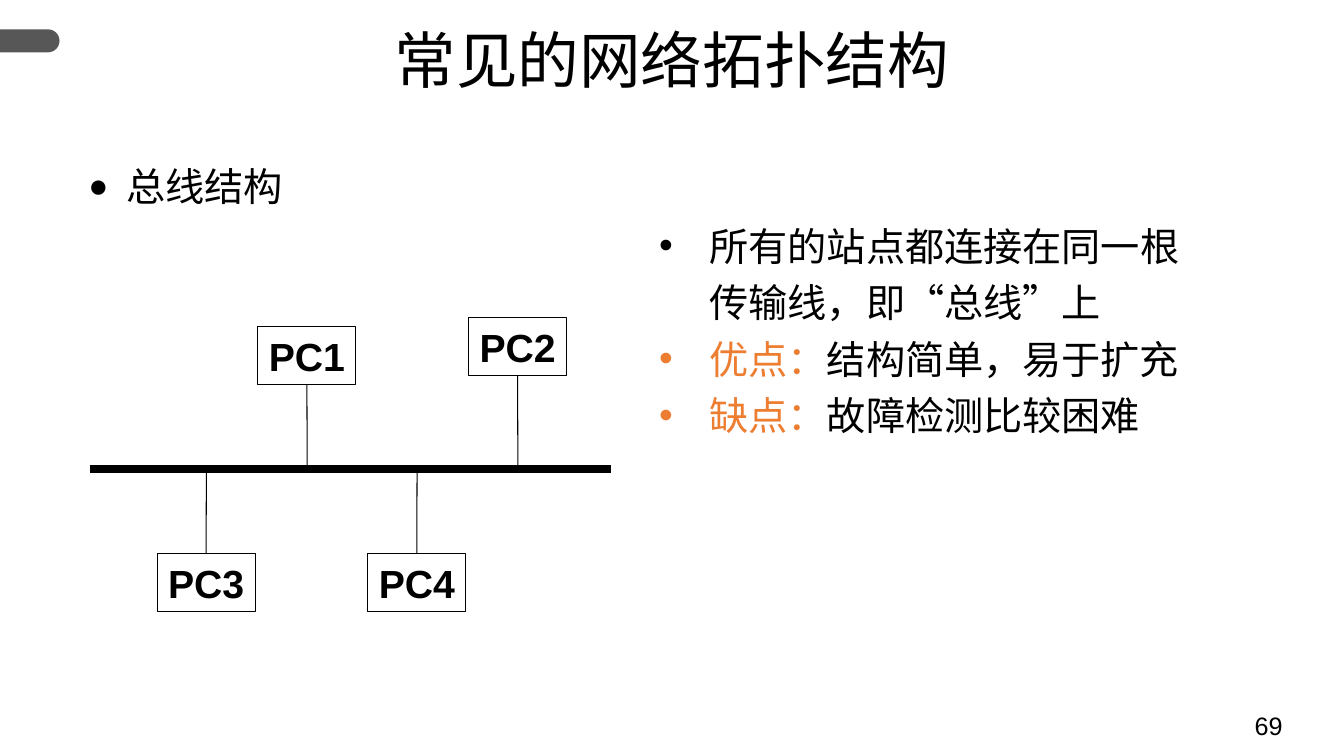
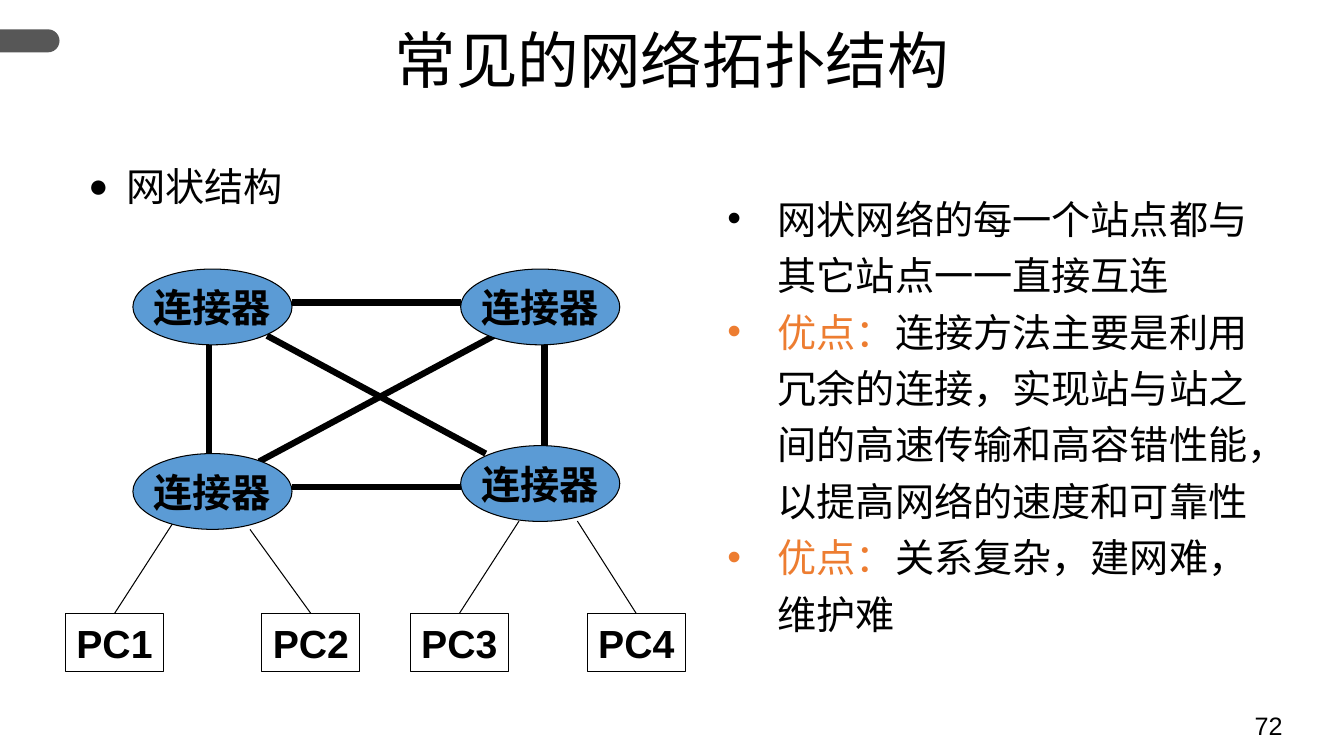
"""Build two slides on common network topologies: bus and mesh."""
from dataclasses import dataclass

from lxml.etree import SubElement
from pptx import Presentation
from pptx.dml.color import RGBColor
from pptx.enum.shapes import MSO_CONNECTOR, MSO_SHAPE
from pptx.enum.text import MSO_ANCHOR, PP_ALIGN
from pptx.oxml.ns import qn
from pptx.util import Cm, Pt


@dataclass(frozen=True)
class Theme:
    ink: RGBColor = RGBColor(0x00, 0x00, 0x00)
    paper: RGBColor = RGBColor(0xFF, 0xFF, 0xFF)
    accent: RGBColor = RGBColor(0xED, 0x7D, 0x31)
    hub: RGBColor = RGBColor(0x5B, 0x9B, 0xD5)
    tab: RGBColor = RGBColor(0x57, 0x57, 0x57)
    latin: str = "Arial"
    chinese: str = "Noto Sans CJK SC"
    title: Pt = Pt(44)
    body: Pt = Pt(28)
    number: Pt = Pt(18)
    thin: Pt = Pt(0.75)
    link: Pt = Pt(4.5)
    bus: Pt = Pt(6)


theme = Theme()


def write(paragraph, parts, spacing=1.0, bullet=None, indent=0, bullet_size=100, **font_format):
    if bullet:
        properties = paragraph._p.get_or_add_pPr()
        properties.set("marL", str(Cm(indent)))
        properties.set("indent", str(-Cm(indent)))
        SubElement(properties, qn("a:buSzPct"), val=str(bullet_size * 1000))
        SubElement(properties, qn("a:buFont"), typeface=theme.latin)
        SubElement(properties, qn("a:buChar"), char=bullet)
    paragraph.line_spacing = spacing
    for text, color in parts:
        run = paragraph.add_run()
        run.text = text
        run.font.color.rgb = color
        for attribute, value in font_format.items():
            setattr(run.font, attribute, value)


def draw_line(slide, start, end, width):
    line = slide.shapes.add_connector(MSO_CONNECTOR.STRAIGHT, *map(Cm, start + end))
    line.line.color.rgb = theme.ink
    line.line.width = width
    SubElement(line._element.spPr, qn("a:effectLst"))
    return line


title_format = {"name": theme.latin, "size": theme.title}
number_format = {"name": theme.latin, "size": theme.number}
body_format = {"name": theme.chinese, "size": theme.body}
node_format = {"name": theme.latin, "size": theme.body, "bold": True}
node_frame = {
    "margin_left": 0, "margin_right": 0, "margin_top": 0, "margin_bottom": 0,
    "word_wrap": False, "vertical_anchor": MSO_ANCHOR.MIDDLE,
}
pc_size = (2.47, 1.47)
hub_size = (4.01, 1.91)
bus_y = 11.82
top, bottom = 0, 2

topologies = [
    {
        "number": "69",
        "heading": "总线结构",
        "notes_at": (16.36, 5.23, 14.4, 5.99),
        "notes": [
            ("", "所有的站点都连接在同一根传输线，即“总线”上"),
            ("优点：", "结构简单，易于扩充"),
            ("缺点：", "故障检测比较困难"),
        ],
        "pcs": [
            ("PC1", 6.5, 8.23, bottom, (7.74, bus_y)),
            ("PC2", 11.81, 8, bottom, (13.05, bus_y)),
            ("PC3", 3.96, 13.94, top, (5.2, bus_y)),
            ("PC4", 9.27, 13.94, top, (10.51, bus_y)),
        ],
        "links": [((2.26, bus_y), (15.4, bus_y))],
        "link_width": theme.bus,
        "hubs": [],
    },
    {
        "number": "72",
        "heading": "网状结构",
        "notes_at": (18.08, 4.55, 14.4, 11.73),
        "notes": [
            ("", "网状网络的每一个站点都与其它站点一一直接互连"),
            ("优点：", "连接方法主要是利用冗余的连接，实现站与站之间的高速传输和高容错性能，以提高网络的速度和可靠性"),
            ("优点：", "关系复杂，建网难，维护难"),
        ],
        "pcs": [
            ("PC1", 1.65, 15.46, top, (4.39, 13.13)),
            ("PC2", 6.6, 15.46, top, (6.3, 13.34)),
            ("PC3", 10.34, 15.46, top, (13.08, 13.13)),
            ("PC4", 14.8, 15.46, top, (14.55, 13.13)),
        ],
        "links": [
            ((7.37, 7.62), (11.61, 7.62)),
            ((7.37, 12.27), (11.61, 12.27)),
            ((5.26, 8.69), (5.26, 11.43)),
            ((13.72, 8.69), (13.72, 11.23)),
            ((6.73, 8.46), (12.24, 11.43)),
            ((6.53, 11.63), (12.45, 8.46)),
        ],
        "link_width": theme.link,
        "hubs": [(3.35, 6.78), (11.61, 6.78), (3.35, 11.43), (11.61, 11.23)],
    },
]

deck = Presentation()
deck.slide_width, deck.slide_height = Cm(33.87), Cm(19.05)

for topology in topologies:
    slide = deck.slides.add_slide(deck.slide_layouts[5])
    shapes = slide.shapes

    tab = shapes.add_shape(MSO_SHAPE.ROUND_2_SAME_RECTANGLE, Cm(0.46), Cm(0.28), Cm(0.58), Cm(1.5))
    tab.rotation = 90
    tab.adjustments[0] = 0.5
    tab.shadow.inherit = False
    tab.fill.solid()
    tab.fill.fore_color.rgb = theme.tab
    tab.line.fill.background()

    title = shapes.title
    title_place = {"left": Cm(0), "top": Cm(0.64), "width": Cm(33.87), "height": Cm(3.18)}
    for attribute, value in title_place.items():
        setattr(title, attribute, value)
    title.text_frame.vertical_anchor = MSO_ANCHOR.TOP
    title.text_frame.paragraphs[0].alignment = PP_ALIGN.CENTER
    write(title.text_frame.paragraphs[0], [("常见的网络拓扑结构", theme.ink)], 0.9, **title_format)

    number = shapes.add_textbox(Cm(31.37), Cm(17.78), Cm(2.5), Cm(1.27)).text_frame
    number.word_wrap = True
    write(number.paragraphs[0], [(topology["number"], theme.ink)], **number_format)

    heading = shapes.add_textbox(Cm(1.98), Cm(3.61), Cm(14), Cm(2)).text_frame
    heading.word_wrap = True
    write(heading.paragraphs[0], [(topology["heading"], theme.ink)], 1.3, "●", 0.95, 85, **body_format)

    notes = shapes.add_textbox(*map(Cm, topology["notes_at"])).text_frame
    notes.word_wrap = True
    for index, (lead, statement) in enumerate(topology["notes"]):
        paragraph = notes.add_paragraph() if index else notes.paragraphs[0]
        parts = [(lead, theme.accent)] if lead else []
        write(paragraph, parts + [(statement, theme.ink)], 1.2, "•", 1.27, **body_format)

    pcs = [(MSO_SHAPE.RECTANGLE, name, (x, y), pc_size, theme.paper, (side, target))
           for name, x, y, side, target in topology["pcs"]]
    hubs = [(MSO_SHAPE.OVAL, "连接器", place, hub_size, theme.hub, None)
            for place in topology["hubs"]]

    for start, end in topology["links"]:
        draw_line(slide, start, end, topology["link_width"])

    for outline, name, place, size, color, lead in pcs + hubs:
        node = shapes.add_shape(outline, *map(Cm, place + size))
        node.shadow.inherit = False
        node.fill.solid()
        node.fill.fore_color.rgb = color
        node.line.color.rgb = theme.ink
        node.line.width = theme.thin
        for attribute, value in node_frame.items():
            setattr(node.text_frame, attribute, value)
        node.text_frame.paragraphs[0].alignment = PP_ALIGN.CENTER
        write(node.text_frame.paragraphs[0], [(name, theme.ink)], **node_format)
        if lead:
            side, target = lead
            cable = draw_line(slide, place, target, theme.thin)
            cable.begin_connect(node, side)

deck.save("out.pptx")
